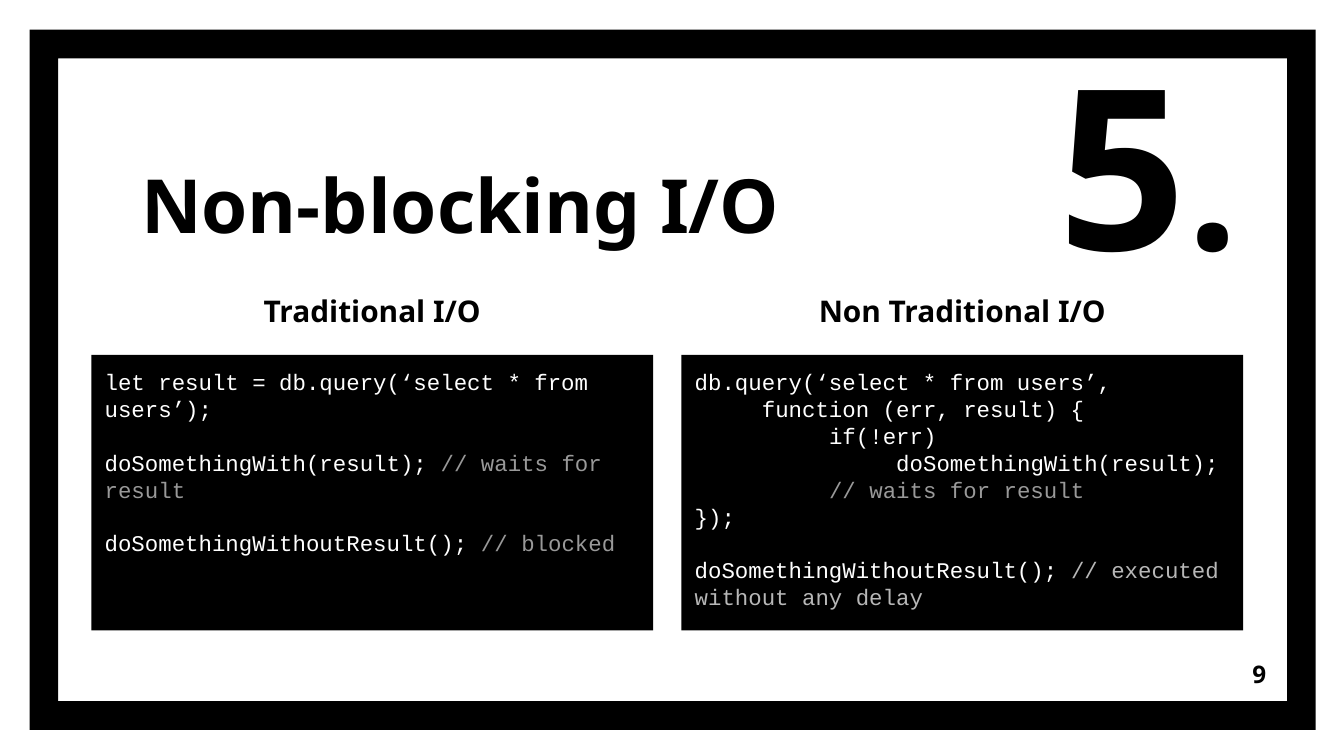
from dataclasses import dataclass

from pptx import Presentation
from pptx.dml.color import RGBColor
from pptx.enum.shapes import MSO_SHAPE as SHAPE
from pptx.enum.text import MSO_ANCHOR as ANCHOR, PP_ALIGN as ALIGN
from pptx.util import Inches, Pt

COLORS = {"ink": "000000", "paper": "FFFFFF", "comment": "999999", "light": "B7B7B7"}
SANS, MONO = "Noto Sans", "Courier New"
SLIDE_W = 10
SLIDE_H = SLIDE_W * 9 / 16
LINE = 14.4
PANEL_TOP, PANEL_W, PANEL_H = 2.64, 4.18, 2.05
HEAD_TOP, HEAD_H = 2.08, 0.43


@dataclass
class Run:
    text: str
    color: str = "paper"
    size: float = 12
    font: str = MONO
    bold: bool = False


@dataclass
class Line:
    runs: list[Run]
    level: int = 0
    gap: bool = False


@dataclass
class Panel:
    heading: str
    head_w: float
    left: float
    lines: list[Line]


PANELS = [
    Panel("Traditional I/O", 1.94, 0.68, [
        Line([Run("let result = db.query(‘select * from users’);")]),
        Line([Run("doSomethingWith(result); "),
              Run("// waits for result", "comment")], gap=True),
        Line([Run("doSomethingWithoutResult(); "),
              Run("// blocked", "comment")], gap=True),
    ]),
    Panel("Non Traditional I/O", 2.48, 5.07, [
        Line([Run("db.query(‘select * from users’,")]),
        Line([Run("function (err, result) {")], 1),
        Line([Run("if(!err)")], 2),
        Line([Run("doSomethingWith(result);")], 3),
        Line([Run("// waits for result", "comment")], 2),
        Line([Run("});")]),
        Line([Run("doSomethingWithoutResult(); "),
              Run("// executed without any delay", "light")], gap=True),
    ]),
]


def rgb(name: str) -> RGBColor:
    return RGBColor.from_string(COLORS[name])


def apply(obj, values: dict) -> None:
    for name, value in values.items():
        setattr(obj, name, value)


def sans(text: str, size: float) -> Run:
    return Run(text, "ink", size, SANS, True)


def set_frame(tf, anchor=ANCHOR.TOP) -> None:
    sides = ("left", "top", "right", "bottom")
    apply(tf, {f"margin_{side}": Inches(0.1) for side in sides})
    apply(tf, {"word_wrap": True, "vertical_anchor": anchor})


def add_runs(p, runs: list[Run], align=ALIGN.LEFT) -> None:
    p.alignment = align
    for run in runs:
        r = p.add_run()
        r.text = run.text
        apply(r.font, {"size": Pt(run.size), "name": run.font, "bold": run.bold})
        r.font.color.rgb = rgb(run.color)


def add_text(s, box: tuple, runs: list[Run], align, anchor=ANCHOR.TOP) -> None:
    tf = s.shapes.add_textbox(*map(Inches, box)).text_frame
    set_frame(tf, anchor)
    add_runs(tf.paragraphs[0], runs, align)


def add_block(s, kind, box: tuple):
    sp = s.shapes.add_shape(kind, *map(Inches, box))
    sp.shadow.inherit = False
    sp.fill.solid()
    sp.fill.fore_color.rgb = rgb("ink")
    sp.line.fill.background()
    return sp


def add_panel(s, panel: Panel) -> None:
    sp = add_block(s, SHAPE.RECTANGLE, (panel.left, PANEL_TOP, PANEL_W, PANEL_H))
    tf = sp.text_frame
    set_frame(tf)
    for i, line in enumerate(panel.lines):
        p = tf.add_paragraph() if i else tf.paragraphs[0]
        apply(p, {"line_spacing": Pt(LINE), "space_before": Pt(LINE if line.gap else 0)})
        if line.level:
            p._p.get_or_add_pPr().set("marL", str(Inches(0.5 * line.level)))
        add_runs(p, line.runs)
    head_left = panel.left + (PANEL_W - panel.head_w) / 2
    add_text(s, (head_left, HEAD_TOP, panel.head_w, HEAD_H),
             [sans(panel.heading, 16)], ALIGN.CENTER)


def add_title(s, text: str) -> None:
    sp = s.shapes.title
    apply(sp, {"left": Inches(0.95), "top": Inches(0.82),
               "width": Inches(6.76), "height": Inches(1.13)})
    set_frame(sp.text_frame, ANCHOR.BOTTOM)
    add_runs(sp.text_frame.paragraphs[0], [sans(text, 40)])


def main() -> None:
    prs = Presentation()
    apply(prs, {"slide_width": Inches(SLIDE_W), "slide_height": Inches(SLIDE_H)})
    s = prs.slides.add_slide(prs.slide_layouts[5])
    s.background.fill.solid()
    s.background.fill.fore_color.rgb = rgb("paper")
    border = add_block(s, SHAPE.FRAME, (0.22, 0.22, 9.57, 5.21))
    border.adjustments[0] = 0.041
    add_title(s, "Non-blocking I/O")
    add_text(s, (8.92, 4.8, 0.6, 0.43), [sans("9", 13)], ALIGN.RIGHT, ANCHOR.MIDDLE)
    add_text(s, (7.56, 0.1, 1.75, 1.73), [sans("5", 120), sans(".", 96)], ALIGN.RIGHT)
    for panel in PANELS:
        add_panel(s, panel)
    prs.save("out.pptx")


if __name__ == "__main__":
    main()
